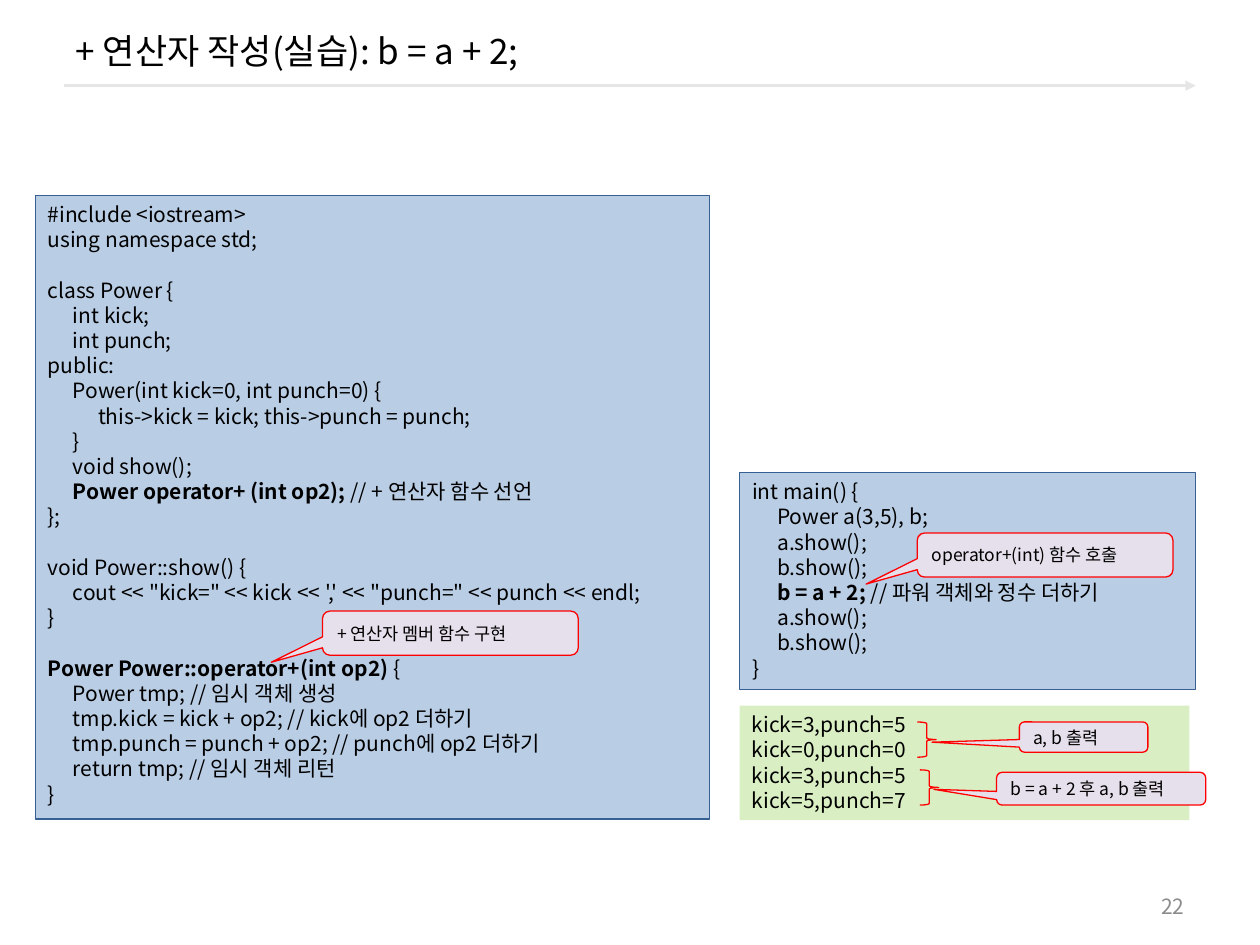
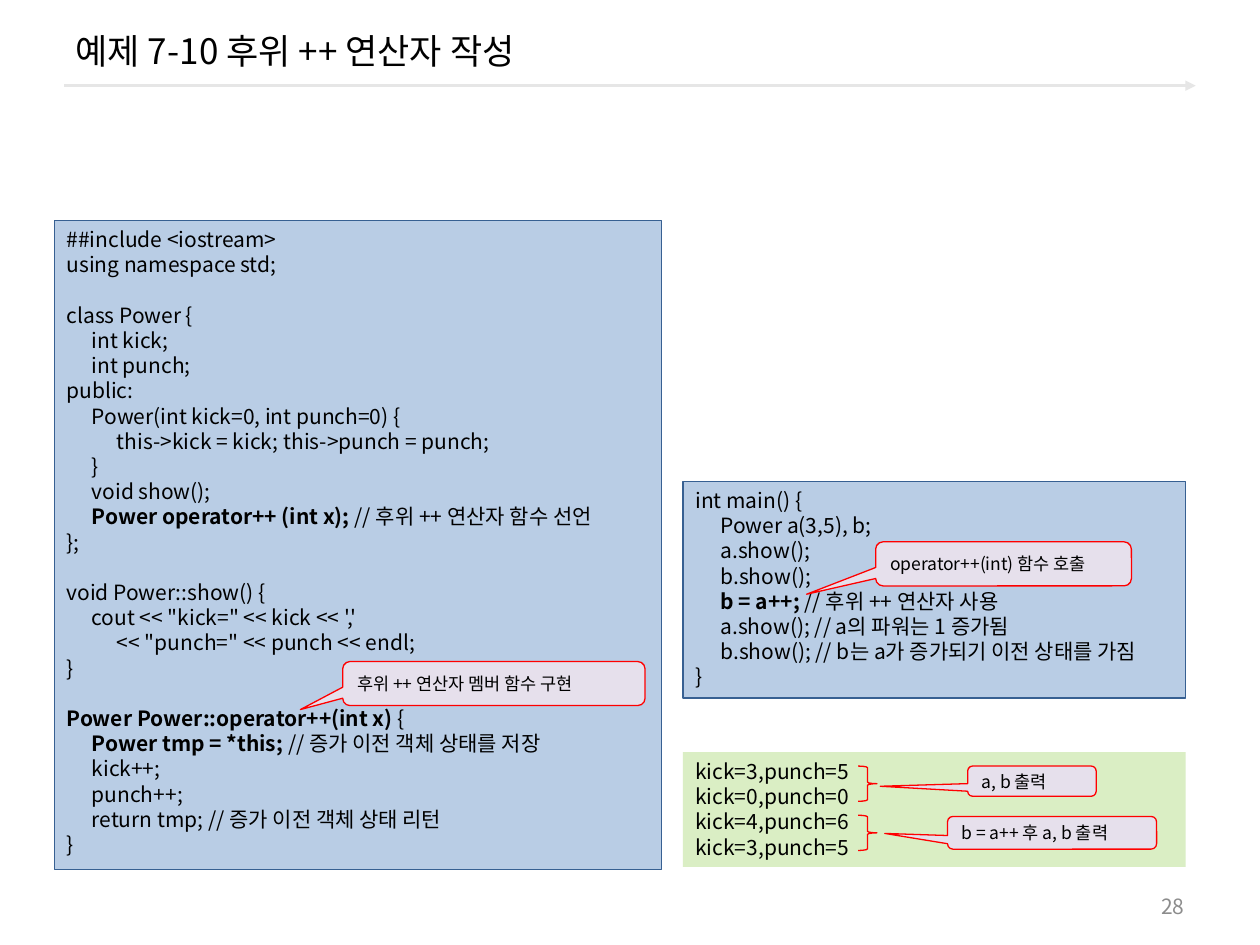
from lxml import etree
from pptx import Presentation, util as u
from pptx.dml.color import RGBColor
from pptx.enum import shapes, text
from pptx.oxml.ns import qn

FONT = "Noto Sans CJK KR"
BLACK, GREY, RULE = "000000", "8C8C8C", "E6E6E6"
CODE_FILL, CODE_LINE, OUTPUT_FILL = "B9CDE5", "376092", "DAEEC4"
CALLOUT_FILL, RED = "E6E0EC", "FF0000"
TAB_STEP = 0.2
CODE_LEADING = 14.4
LABEL_SIZE = (1.02, 0.24)
LONG_LABEL_SIZE = (1.66, 0.26)
LABEL_TIP = (-1.18, 0.17)
LONG_LABEL_TIP = (-0.8, 0.02)

# Four leading spaces make one tab; ** encloses bold code.
CLASS_CODE = """\
class Power {
    int kick;
    int punch;
public:
    Power(int kick=0, int punch=0) {
        this->kick = kick; this->punch = punch;
    }
    void show();"""

ADD_CODE = f"""\
#include <iostream>
using namespace std;

{CLASS_CODE}
    **Power operator+ (int op2); **// + 연산자 함수 선언
}};

void Power::show() {{
    cout << "kick=" << kick << ',' << "punch=" << punch << endl;
}}

**Power Power::operator+(int op2) **{{
    Power tmp; // 임시 객체 생성
    tmp.kick = kick + op2; // kick에 op2 더하기
    tmp.punch = punch + op2; // punch에 op2 더하기
    return tmp; // 임시 객체 리턴
}}"""

INCREMENT_CODE = f"""\
##include <iostream>
using namespace std;

{CLASS_CODE}
    **Power operator++ (int x); **// 후위 ++ 연산자 함수 선언
}};

void Power::show() {{
    cout << "kick=" << kick << ','
        << "punch=" << punch << endl;
}}

**Power Power::operator++(int x) **{{
    **Power tmp = *this; **// 증가 이전 객체 상태를 저장
    kick++;
    punch++;
    return tmp; // 증가 이전 객체 상태 리턴
}}"""

MAIN_START = """\
int main() {
    Power a(3,5), b;
    a.show();
    b.show();"""

ADD_MAIN = f"""\
{MAIN_START}
    **b = a + 2; **// 파워 객체와 정수 더하기
    a.show();
    b.show();
}}"""

INCREMENT_MAIN = f"""\
{MAIN_START}
    **b = a++; **// 후위 ++ 연산자 사용
    a.show(); // a의 파워는 1 증가됨
    b.show(); // b는 a가 증가되기 이전 상태를 가짐
}}"""


def color(value):
    return RGBColor.from_string(value)


def inches(*lengths):
    return [u.Inches(length) for length in lengths]


def add_tab_stops(para):
    tabs = etree.SubElement(para._p.get_or_add_pPr(), qn("a:tabLst"))
    for level in (1, 2):
        etree.SubElement(tabs, qn("a:tab"), algn="l",
                         pos=str(u.Inches(TAB_STEP * level)))


def write(frame, content, size=12, ink=BLACK, align=text.PP_ALIGN.LEFT,
          anchor=text.MSO_ANCHOR.MIDDLE, leading=None, tabs=False):
    """Fill a frame with one paragraph per line, bold between ** marks."""
    frame.word_wrap = True
    frame.auto_size = text.MSO_AUTO_SIZE.NONE
    frame.vertical_anchor = anchor
    for number, line in enumerate(content.split("\n")):
        para = frame.paragraphs[0] if number == 0 else frame.add_paragraph()
        para.alignment = align
        if leading:
            para.line_spacing = u.Pt(leading)
        if tabs:
            add_tab_stops(para)
        for position, part in enumerate(line.replace("    ", "\t").split("**")):
            span = para.add_run()
            span.text = part
            span.font.size = u.Pt(size)
            span.font.bold = position % 2 == 1
            span.font.color.rgb = color(ink)
            span.font.name = FONT
            etree.SubElement(span._r.get_or_add_rPr(), qn("a:ea"), typeface=FONT)


def add_box(page, kind, place, fill=None, line=None):
    box = page.shapes.add_shape(kind, *inches(*place))
    box.shadow.inherit = False
    if fill:
        box.fill.solid()
        box.fill.fore_color.rgb = color(fill)
    else:
        box.fill.background()
    if line:
        box.line.color.rgb = color(line)
        box.line.width = u.Pt(0.75)
    else:
        box.line.fill.background()
    return box


def add_code(page, place, code, fill=CODE_FILL, line=CODE_LINE):
    box = add_box(page, shapes.MSO_SHAPE.RECTANGLE, place, fill, line)
    write(box.text_frame, code, anchor=text.MSO_ANCHOR.TOP,
          leading=CODE_LEADING, tabs=True)


def add_callout(page, place, tip, label):
    """Tip is the pointer's offset from the centre, in box widths and heights."""
    box = add_box(page, shapes.MSO_SHAPE.ROUNDED_RECTANGULAR_CALLOUT, place,
                  CALLOUT_FILL, RED)
    box.adjustments[0], box.adjustments[1] = tip
    write(box.text_frame, label, size=10)


def add_brace(page, left, top):
    add_box(page, shapes.MSO_SHAPE.RIGHT_BRACE, (left, top, 0.15, 0.28), line=RED)


def add_rule(page):
    rule = page.shapes.add_connector(shapes.MSO_CONNECTOR.STRAIGHT,
                                     *inches(0.51, 0.68, 9.49, 0.68))
    rule.line.color.rgb = color(RULE)
    rule.line.width = u.Pt(1.5)
    etree.SubElement(rule.line._get_or_add_ln(), qn("a:tailEnd"), type="triangle")
    etree.SubElement(rule._element.spPr, qn("a:effectLst"))


def add_page(deck, title, number):
    page = deck.slides.add_slide(deck.slide_layouts[5])
    add_rule(page)
    heading = page.shapes.title
    heading.left, heading.top, heading.width, heading.height = inches(0.5, 0.08, 9, 0.64)
    write(heading.text_frame, title, size=20)
    footer = page.shapes.add_textbox(*inches(7.17, 7.03, 2.33, 0.32))
    write(footer.text_frame, number, ink=GREY, align=text.PP_ALIGN.RIGHT)
    return page


def add_output(page, place, output, braces, labels):
    """Show program output, with a brace and a callout for each pair of lines."""
    add_code(page, place, output, fill=OUTPUT_FILL, line=None)
    for corner in braces:
        add_brace(page, *corner)
    sizes = (LABEL_SIZE, LONG_LABEL_SIZE)
    tips = (LABEL_TIP, LONG_LABEL_TIP)
    for (corner, label), size, tip in zip(labels, sizes, tips):
        add_callout(page, corner + size, tip, label)


def add_plus_page(deck):
    page = add_page(deck, "+ 연산자 작성(실습): b = a + 2;", "22")
    add_code(page, (0.28, 1.55, 5.35, 4.95), ADD_CODE)
    add_code(page, (5.87, 3.75, 3.62, 1.72), ADD_MAIN)
    add_output(page, (5.87, 5.6, 3.57, 0.91),
               "kick=3,punch=5\nkick=0,punch=0\nkick=3,punch=5\nkick=5,punch=7",
               braces=[(7.28, 5.73), (7.3, 6.11)],
               labels=[((8.09, 5.73), "a, b 출력"),
                       ((7.91, 6.13), "b = a + 2 후 a, b 출력")])
    tip = (-0.7, 0.66)
    add_callout(page, (2.56, 4.85, 2.03, 0.35), tip, "+ 연산자 멤버 함수 구현")
    add_callout(page, (7.28, 4.23, 2.03, 0.35), tip, "operator+(int) 함수 호출")


def add_increment_page(deck):
    page = add_page(deck, "예제 7-10 후위 ++ 연산자 작성", "28")
    add_code(page, (0.43, 1.75, 4.82, 5.15), INCREMENT_CODE)
    add_code(page, (5.42, 3.82, 3.99, 1.72), INCREMENT_MAIN)
    add_output(page, (5.42, 5.97, 3.99, 0.91),
               "kick=3,punch=5\nkick=0,punch=0\nkick=4,punch=6\nkick=3,punch=5",
               braces=[(6.81, 6.08), (6.81, 6.47)],
               labels=[((7.68, 6.08), "a, b 출력"),
                       ((7.52, 6.48), "b = a++ 후 a, b 출력")])
    add_callout(page, (2.72, 5.25, 2.4, 0.35), (-0.64, 0.59),
                "후위 ++ 연산자 멤버 함수 구현")
    add_callout(page, (6.95, 4.3, 2.03, 0.35), (-0.77, 0.69),
                "operator++(int) 함수 호출")


def main():
    deck = Presentation()
    deck.slide_width, deck.slide_height = inches(10, 7.5)
    add_plus_page(deck)
    add_increment_page(deck)
    deck.save("out.pptx")


if __name__ == "__main__":
    main()
